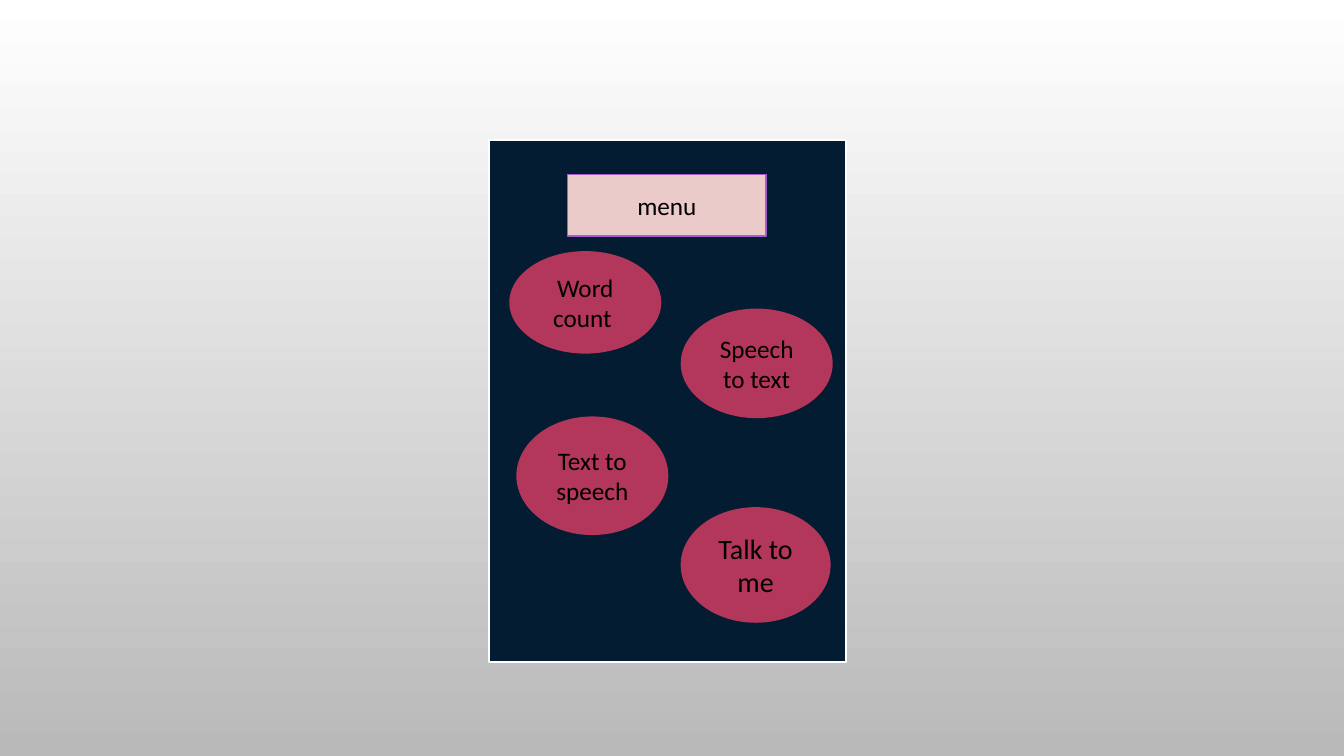
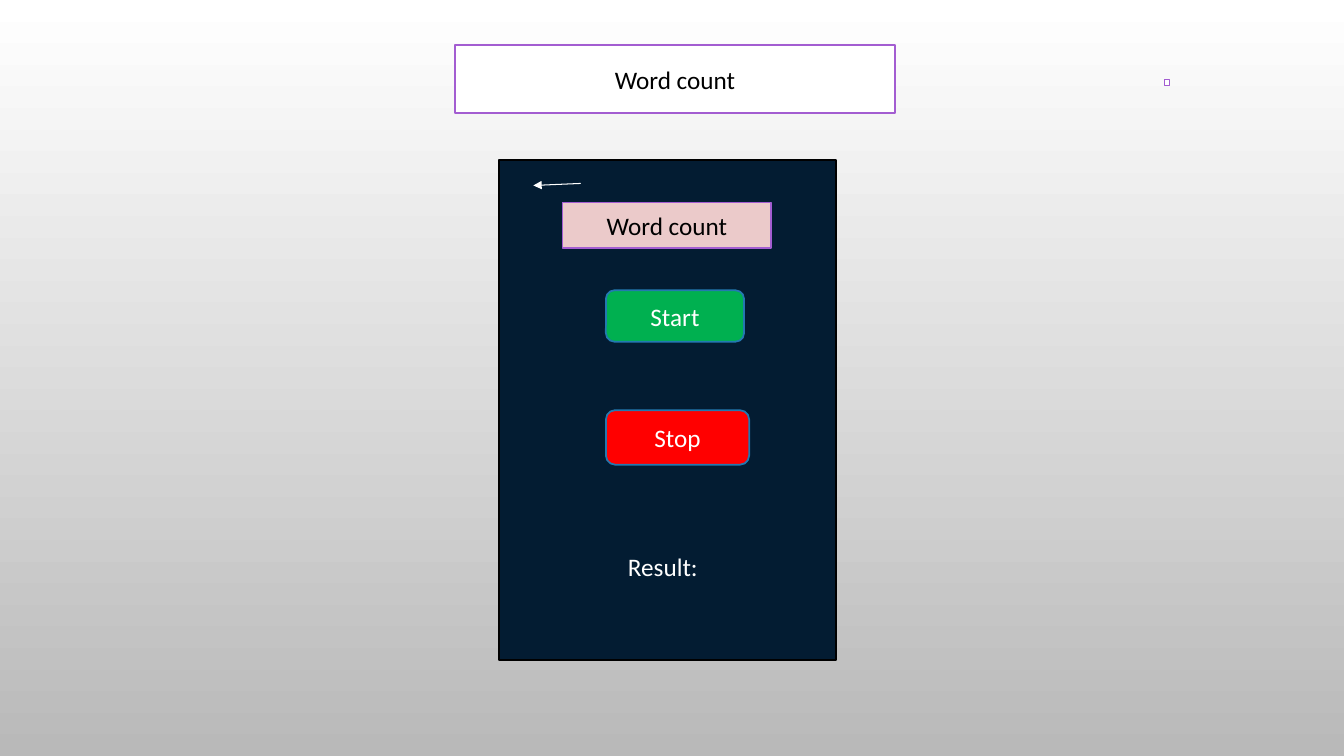
from dataclasses import dataclass

from lxml import etree
from pptx import Presentation
from pptx.dml.color import RGBColor
from pptx.enum.shapes import MSO_CONNECTOR, MSO_SHAPE
from pptx.enum.text import MSO_ANCHOR, PP_ALIGN
from pptx.oxml.ns import qn
from pptx.util import Inches, Pt

RECTANGLE = MSO_SHAPE.RECTANGLE
OVAL = MSO_SHAPE.OVAL
ROUNDED = MSO_SHAPE.ROUNDED_RECTANGLE
STRAIGHT = MSO_CONNECTOR.STRAIGHT
CENTER = PP_ALIGN.CENTER
MIDDLE = MSO_ANCHOR.MIDDLE


@dataclass(frozen=True)
class Theme:
    font: str = "Calibri"
    body: int = 18
    large: int = 20
    outline: float = 1.25
    thin: float = 0.75
    white: str = "FFFFFF"
    black: str = "000000"
    backdrop_end: str = "B9B9B9"
    navy: str = "031C32"
    blush: str = "EBCACA"
    purple: str = "A35DD1"
    berry: str = "B3365B"
    green: str = "00B050"
    red: str = "FF0000"
    blue: str = "2379B0"


THEME = Theme()


def rgb(value):
    return RGBColor.from_string(value)


def add_page(deck):
    """Add a blank slide with the shared gradient background."""
    page = deck.slides.add_slide(deck.slide_layouts[6])
    fill = page.background.fill
    fill.gradient()
    fill.gradient_angle = 270
    for stop, color in zip(fill.gradient_stops, (THEME.white, THEME.backdrop_end)):
        stop.color.rgb = rgb(color)
    return page


def add_block(page, preset, box, fill, line, text="", color=THEME.black, size=THEME.body):
    block = page.shapes.add_shape(preset, *map(Inches, box))
    block.shadow.inherit = False
    block.fill.solid()
    block.fill.fore_color.rgb = rgb(fill)
    block.line.color.rgb = rgb(line)
    block.line.width = Pt(THEME.outline)
    if text:
        frame = block.text_frame
        frame.word_wrap = True
        frame.vertical_anchor = MIDDLE
        paragraph = frame.paragraphs[0]
        paragraph.text = text
        paragraph.alignment = CENTER
        paragraph.font.name = THEME.font
        paragraph.font.size = Pt(size)
        paragraph.font.color.rgb = rgb(color)


def add_back_arrow(page, start, end):
    arrow = page.shapes.add_connector(STRAIGHT, *map(Inches, (*start, *end)))
    arrow.line.color.rgb = rgb(THEME.white)
    arrow.line.width = Pt(THEME.thin)
    line = arrow.line._get_or_add_ln()
    etree.SubElement(line, qn("a:tailEnd"), type="triangle")
    etree.SubElement(arrow._element.spPr, qn("a:effectLst"))


def within(panel, box):
    """Shift a box given relative to the panel onto the slide."""
    left, top, width, height = box
    return panel[0] + left, panel[1] + top, width, height


def add_phone_screen(page, panel, border, heading, heading_box):
    add_block(page, RECTANGLE, panel, THEME.navy, border)
    add_block(page, RECTANGLE, within(panel, heading_box), THEME.blush, THEME.purple, heading)


def add_menu_screen(page, panel):
    add_phone_screen(page, panel, THEME.white, "menu", (0.78, 0.34, 1.97, 0.61))
    choices = (
        ("Word count ", (0.21, 1.11, 1.49, 1), THEME.body),
        ("Speech to text", (1.91, 1.68, 1.49, 1.07), THEME.body),
        ("Text to speech", (0.28, 2.75, 1.49, 1.16), THEME.body),
        ("Talk to me", (1.91, 3.65, 1.47, 1.13), THEME.large),
    )
    for label, box, size in choices:
        add_block(page, OVAL, within(panel, box), THEME.berry, THEME.berry, label, size=size)


def add_counter_screen(page, panel):
    left, top = panel[:2]
    add_phone_screen(page, panel, THEME.black, "Word count", (0.63, 0.42, 2.07, 0.45))
    add_back_arrow(page, (left + 0.81, top + 0.23), (left + 0.34, top + 0.25))
    controls = (
        ("Result:", RECTANGLE, (0.81, 3.77, 1.63, 0.52), THEME.navy, THEME.navy),
        ("Start", ROUNDED, (1.06, 1.29, 1.37, 0.51), THEME.green, THEME.blue),
        ("Stop", ROUNDED, (1.06, 2.48, 1.42, 0.54), THEME.red, THEME.blue),
    )
    for label, preset, box, fill, line in controls:
        add_block(page, preset, within(panel, box), fill, line, label, THEME.white)


def add_title_band(page, box):
    add_block(page, RECTANGLE, box, THEME.white, THEME.purple, "Word count")


def add_marker(page, box):
    add_block(page, RECTANGLE, box, THEME.white, THEME.purple)


def main():
    deck = Presentation()
    deck.slide_width, deck.slide_height = Inches(13.33), Inches(7.5)

    add_menu_screen(add_page(deck), (4.85, 1.39, 3.54, 5.18))

    counter_page = add_page(deck)
    add_title_band(counter_page, (4.51, 0.45, 4.37, 0.67))
    add_counter_screen(counter_page, (4.95, 1.59, 3.34, 4.96))
    add_marker(counter_page, (11.55, 0.79, 0.05, 0.06))

    deck.save("out.pptx")


if __name__ == "__main__":
    main()
